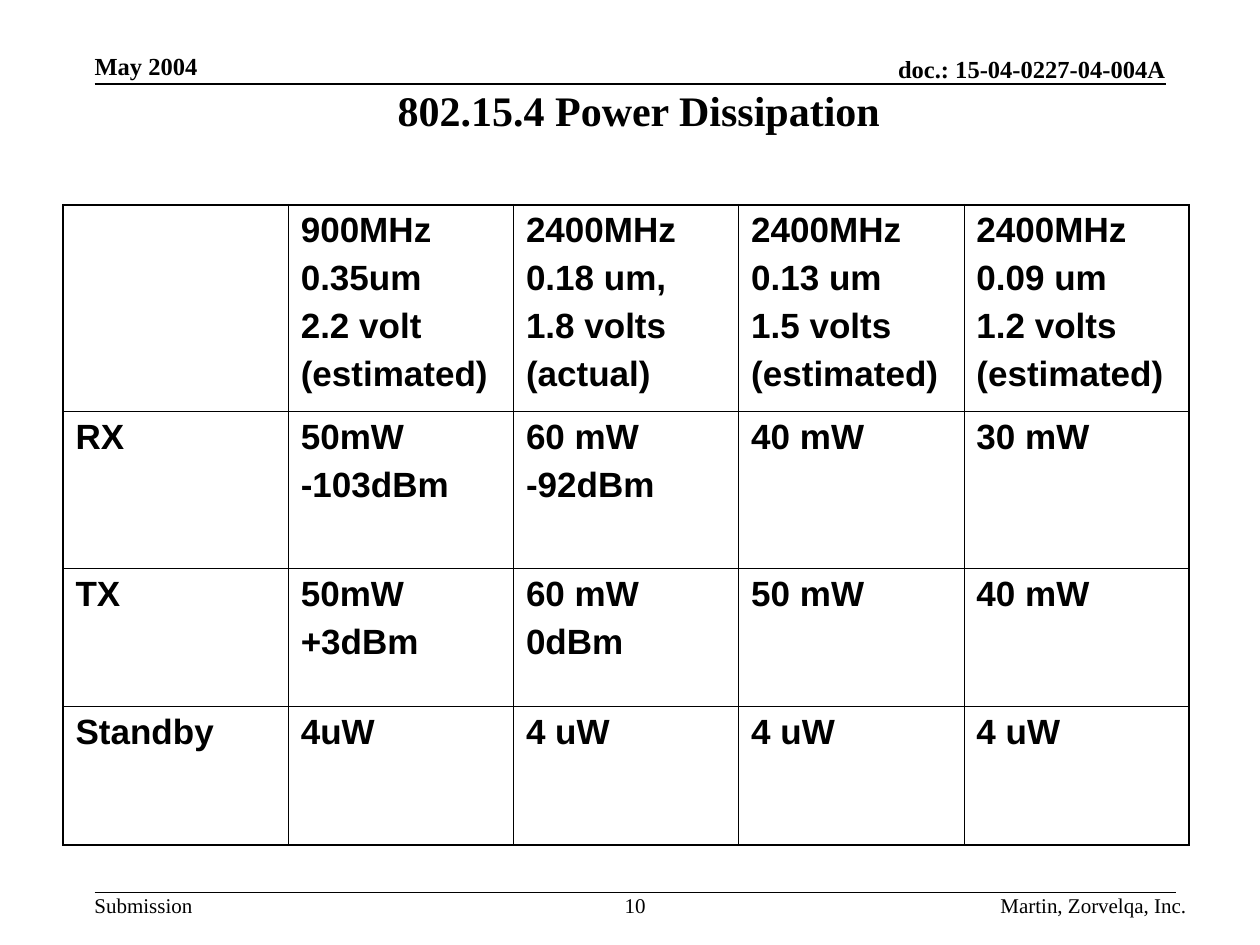
import pptx
import pptx.util
import pptx.dml.color
import pptx.enum.text
import pptx.enum.shapes
import pptx.oxml.ns
import lxml.etree

Pt = pptx.util.Pt
ALIGN = pptx.enum.text.PP_ALIGN
ANCHOR = pptx.enum.text.MSO_ANCHOR
BLACK, WHITE = "000000", "FFFFFF"
SERIF, SANS = "Times New Roman", "Arial"

LABELS = [
    ("doc.: 15-04-0227-04-004A", (354, 31, 312, 16.5),
     dict(size=14, bold=True, align=ALIGN.RIGHT, anchor=ANCHOR.BOTTOM)),
    ("May 2004", (54, 29.5, 126, 16.5), dict(size=14, bold=True, anchor=ANCHOR.BOTTOM)),
    ("802.15.4 Power Dissipation", (101.5, 44.6, 527, 36),
     dict(size=24, bold=True, align=ALIGN.CENTER, inset=(7.2, 3.6))),
    ("Submission", (54, 510, 56, 28.8), dict(size=12)),
    ("10", (342, 510, 42, 14.4), dict(size=12, align=ALIGN.CENTER)),
    ("Martin, Zorvelqa, Inc.", (432, 510, 246, 14.4), dict(size=12, align=ALIGN.RIGHT)),
]
RULES = [(54, 666, 48), (54, 672, 510)]

POWER_ROWS = [
    ["", "900MHz\n0.35um\n2.2 volt\n(estimated)", "2400MHz\n0.18 um,\n1.8 volts\n(actual)",
     "2400MHz\n0.13 um\n1.5 volts\n(estimated)", "2400MHz\n0.09 um\n1.2 volts\n(estimated)"],
    ["RX", "50mW\n-103dBm", "60 mW\n-92dBm", "40 mW", "30 mW"],
    ["TX", "50mW\n+3dBm", "60 mW\n0dBm", "50 mW", "40 mW"],
    ["Standby", "4uW", "4 uW", "4 uW", "4 uW"],
]
TABLE_LEFT, TABLE_TOP = 36, 117
COLUMN_WIDTH = 128.7
ROW_HEIGHTS = [118, 89.5, 79, 79]
OUTER_LINE, INNER_LINE = 1.08, 0.45


def color(value):
    return pptx.dml.color.RGBColor.from_string(value)


def write(frame, text, *, size, font=SERIF, bold=False, align=ALIGN.LEFT, gap=0):
    for index, line in enumerate(text.split("\n")):
        para = frame.paragraphs[0] if index == 0 else frame.add_paragraph()
        para.alignment = align
        para.space_before = Pt(gap if index else 0)
        span = para.add_run()
        span.text = line
        span.font.name = font
        span.font.size = Pt(size)
        span.font.bold = bold
        span.font.color.rgb = color(BLACK)


def add_label(page, text, place, anchor=ANCHOR.TOP, inset=(0, 0), **style):
    box = page.shapes.add_textbox(*map(Pt, place))
    frame = box.text_frame
    frame.word_wrap = True
    frame.vertical_anchor = anchor
    frame.margin_left = frame.margin_right = Pt(inset[0])
    frame.margin_top = frame.margin_bottom = Pt(inset[1])
    write(frame, text, **style)


def add_rule(page, left, right, y):
    rule = page.shapes.add_connector(
        pptx.enum.shapes.MSO_CONNECTOR.STRAIGHT, Pt(left), Pt(y), Pt(right), Pt(y))
    rule.line.color.rgb = color(BLACK)
    rule.line.width = Pt(1)
    properties = rule._element.spPr
    lxml.etree.SubElement(properties, pptx.oxml.ns.qn("a:effectLst"))


def set_borders(cell, outer_sides):
    properties = cell._tc.get_or_add_tcPr()
    for side, outer in outer_sides.items():
        width = Pt(OUTER_LINE if outer else INNER_LINE)
        border = lxml.etree.SubElement(
            properties, pptx.oxml.ns.qn("a:ln" + side), w=str(int(width)))
        fill = lxml.etree.SubElement(border, pptx.oxml.ns.qn("a:solidFill"))
        lxml.etree.SubElement(fill, pptx.oxml.ns.qn("a:srgbClr"), val=BLACK)


def add_power_table(page):
    row_count, column_count = len(POWER_ROWS), len(POWER_ROWS[0])
    table = page.shapes.add_table(
        row_count, column_count, Pt(TABLE_LEFT), Pt(TABLE_TOP),
        Pt(COLUMN_WIDTH * column_count), Pt(sum(ROW_HEIGHTS))).table
    table.first_row = table.horz_banding = False
    for column in table.columns:
        column.width = Pt(COLUMN_WIDTH)
    for r, values in enumerate(POWER_ROWS):
        table.rows[r].height = Pt(ROW_HEIGHTS[r])
        for c, text in enumerate(values):
            cell = table.cell(r, c)
            set_borders(cell, {"L": c == 0, "R": c == column_count - 1,
                               "T": r == 0, "B": r == row_count - 1})
            cell.fill.solid()
            cell.fill.fore_color.rgb = color(WHITE)
            if text:
                write(cell.text_frame, text, size=20, font=SANS, bold=True, gap=5)


def main():
    deck = pptx.Presentation()
    deck.slide_width, deck.slide_height = Pt(720), Pt(540)
    page = deck.slides.add_slide(deck.slide_layouts[6])
    for rule in RULES:
        add_rule(page, *rule)
    for text, place, style in LABELS:
        add_label(page, text, place, **style)
    add_power_table(page)
    deck.save("out.pptx")


if __name__ == "__main__":
    main()
